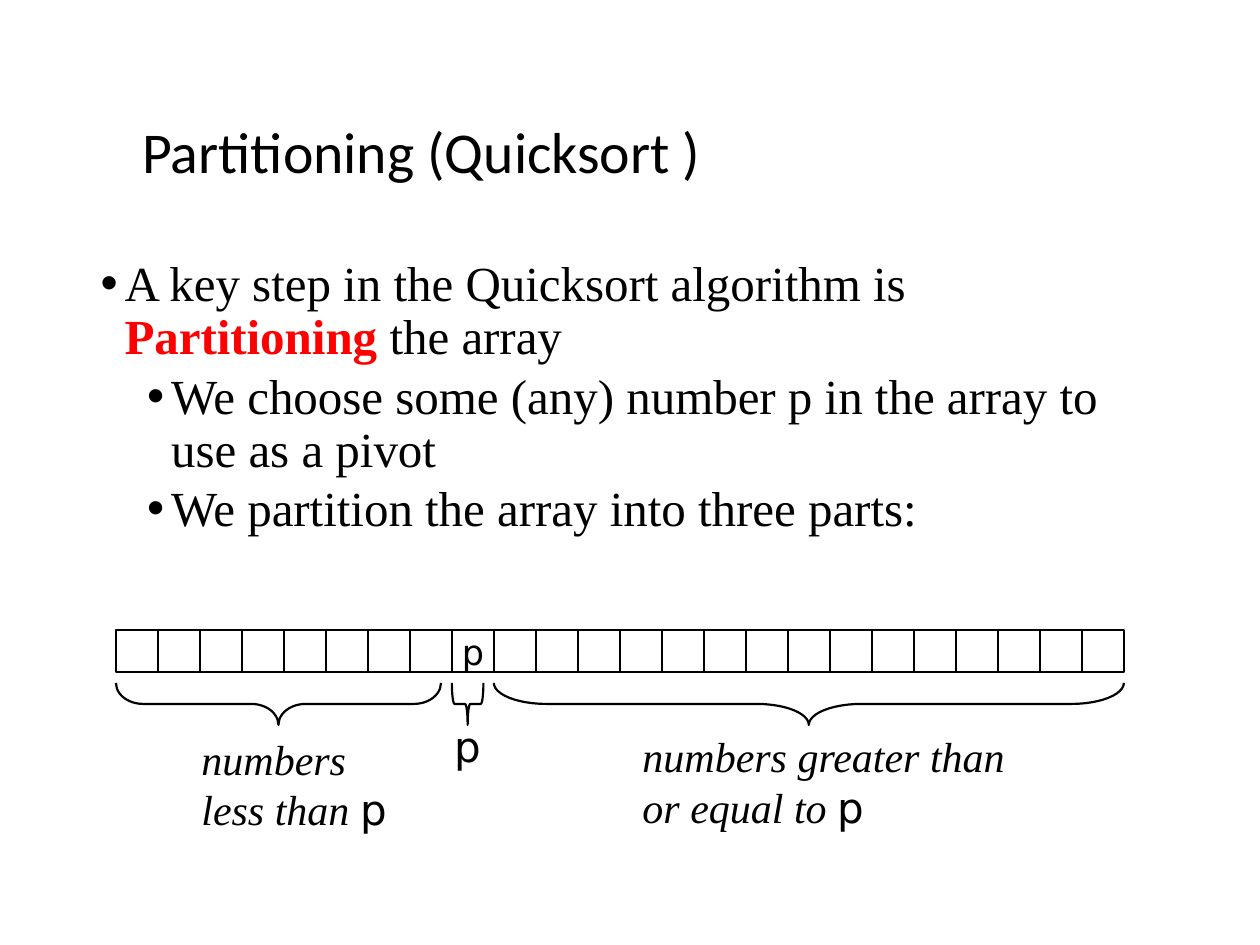
from lxml.etree import SubElement
from pptx import Presentation
from pptx.dml.color import RGBColor
from pptx.enum.shapes import MSO_SHAPE as Shape
from pptx.enum.text import MSO_ANCHOR as Anchor, MSO_AUTO_SIZE as AutoSize, PP_ALIGN as Align
from pptx.oxml.ns import qn
from pptx.util import Inches, Pt

COLORS = {"ink": "000000", "accent": "FF0000"}
SERIF, SANS, HEADING = "Times New Roman", "DejaVu Sans", "Calibri"
CELL = 1 / 3
CELL_COUNT = 24
PIVOT_INDEX = 8
ARRAY_LEFT, ARRAY_TOP = 0.92, 5
BRACE_TOP = 5.42
BULLETS = [
    (0, 0.19, [("A key step in the Quicksort algorithm is ", False),
               ("Partitioning", True), (" the array", False)]),
    (1, 0.56, [("We choose some (any) number p in the array to use as a pivot", False)]),
    (1, 0.56, [("We partition the array into three parts:", False)]),
]


def add_run(paragraph, text, font, size, color="ink", bold=False, italic=False):
    """Append a formatted run to the paragraph."""
    run = paragraph.add_run()
    run.text = text
    run.font.name, run.font.size = font, Pt(size)
    run.font.bold, run.font.italic = bold, italic
    run.font.color.rgb = RGBColor.from_string(COLORS[color])


def place(shape, left, top, width, height):
    """Move and size a shape, in inches."""
    shape.left, shape.top = Inches(left), Inches(top)
    shape.width, shape.height = Inches(width), Inches(height)


def add_outline(shapes, kind, left, top, width, height):
    """Add an unfilled preset shape with a thin dark line."""
    shape = shapes.add_shape(kind, Inches(left), Inches(top), Inches(width), Inches(height))
    shape.shadow.inherit = False
    shape.fill.background()
    shape.line.color.rgb = RGBColor.from_string(COLORS["ink"])
    shape.line.width = Pt(1.25)
    return shape


def add_title(slide, left, top, width, height):
    """Fill the title placeholder."""
    title = slide.shapes.title
    place(title, left, top, width, height)
    frame = title.text_frame
    frame.auto_size = AutoSize.NONE
    frame.vertical_anchor = Anchor.MIDDLE
    paragraph = frame.paragraphs[0]
    paragraph.alignment = Align.LEFT
    paragraph.line_spacing = 0.9
    add_run(paragraph, "Partitioning (Quicksort )", HEADING, 33)


def add_bullets(slide, left, top, width, height):
    """Add the two-level bullet list."""
    box = slide.shapes.add_textbox(Inches(left), Inches(top), Inches(width), Inches(height))
    frame = box.text_frame
    frame.word_wrap = True
    for index, (level, indent, pieces) in enumerate(BULLETS):
        paragraph = frame.add_paragraph() if index else frame.paragraphs[0]
        paragraph.level = level
        paragraph.line_spacing = 0.9
        if index:
            paragraph.space_before = Pt(3.7)
        properties = paragraph._p.get_or_add_pPr()
        properties.set("marL", str(Inches(indent)))
        properties.set("indent", str(Inches(-0.19)))
        SubElement(properties, qn("a:buFont"), typeface="Arial")
        SubElement(properties, qn("a:buChar"), char="•")
        for text, strong in pieces:
            add_run(paragraph, text, SERIF, 28, "accent" if strong else "ink", bold=strong)


def add_array(slide, left, top):
    """Add the row of cells with the pivot marked."""
    group = slide.shapes.add_group_shape()
    for index in range(CELL_COUNT):
        cell = add_outline(group.shapes, Shape.RECTANGLE, left + index * CELL, top, CELL, CELL)
        if index == PIVOT_INDEX:
            frame = cell.text_frame
            frame.word_wrap = False
            frame.vertical_anchor = Anchor.MIDDLE
            frame.paragraphs[0].alignment = Align.CENTER
            add_run(frame.paragraphs[0], "p", SANS, 20)


def add_part(slide, left, length, label_box, words, alignment):
    """Add a downward brace and the label of the part it spans."""
    group = slide.shapes.add_group_shape()
    brace = add_outline(group.shapes, Shape.LEFT_BRACE, left + (length - CELL) / 2,
                        BRACE_TOP + (CELL - length) / 2, CELL, length)
    brace.rotation = 270
    brace.adjustments[0] = length / 12 / min(length, CELL)
    label = group.shapes.add_textbox(*map(Inches, label_box))
    label.text_frame.word_wrap = True
    paragraph = label.text_frame.paragraphs[0]
    paragraph.alignment = alignment
    if words:
        add_run(paragraph, words, SERIF, 24, italic=True)
    add_run(paragraph, "p", SANS, 24)


def main():
    """Build and save the slide."""
    presentation = Presentation()
    presentation.slide_width, presentation.slide_height = Inches(10), Inches(7.5)
    slide = presentation.slides.add_slide(presentation.slide_layouts[5])
    add_title(slide, 1.03, 0.79, 8.17, 0.87)
    add_bullets(slide, 0.7, 2.01, 8.5, 2.8)
    add_array(slide, ARRAY_LEFT, ARRAY_TOP)
    pivot_left = ARRAY_LEFT + PIVOT_INDEX * CELL
    add_part(slide, ARRAY_LEFT, 2.58, (1.5, 5.77, 1.92, 0.9), "numbers less than ", Align.LEFT)
    add_part(slide, pivot_left + CELL, 5, (5, 5.75, 3.08, 0.9),
             "numbers greater than or equal to ", Align.LEFT)
    add_part(slide, pivot_left, 0.25, (3.42, 5.67, 0.58, 0.5), "", Align.CENTER)
    presentation.save("out.pptx")


if __name__ == "__main__":
    main()
